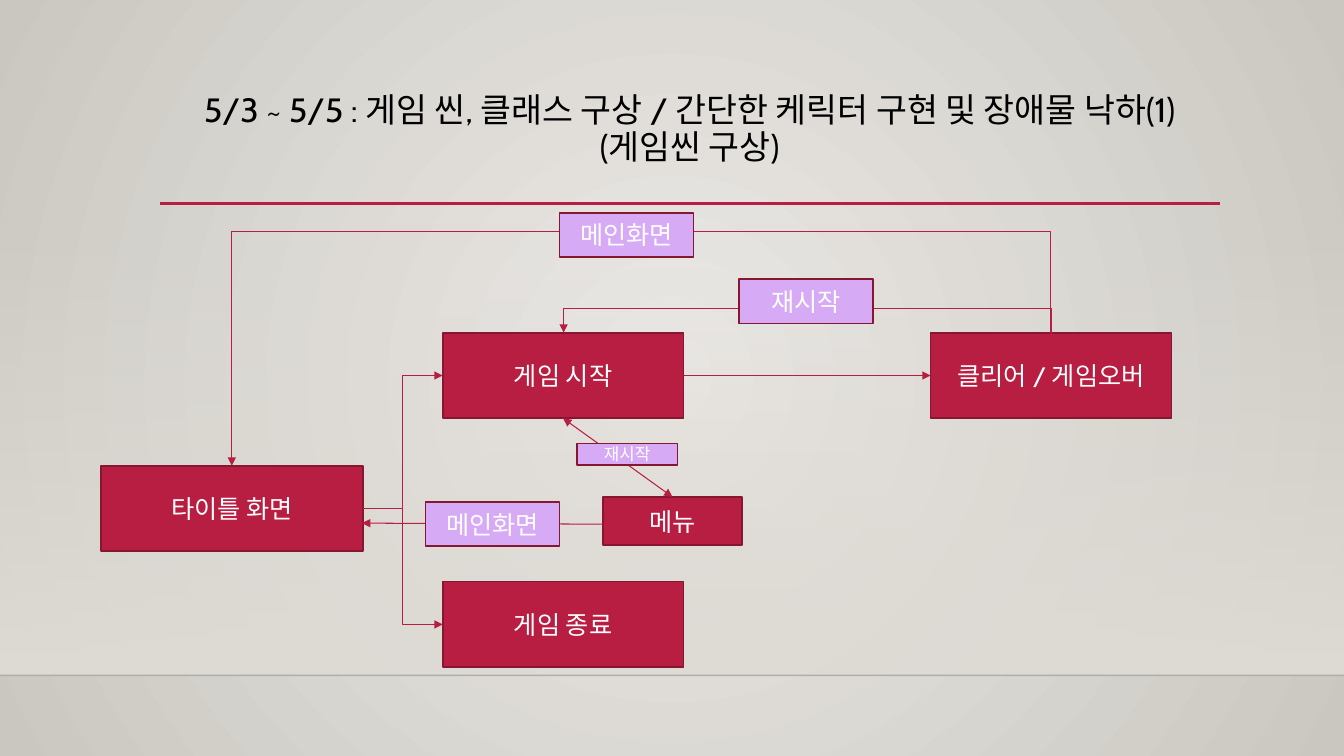
from dataclasses import dataclass

from pptx import Presentation
from pptx.dml.color import RGBColor
from pptx.enum import shapes, text
from pptx.oxml import ns, xmlchemy
from pptx.util import Inches, Pt

FONT = "Cabin"
CRIMSON, DARK_RED, LILAC = "B71E42", "871631", "D7AAF6"
TOP, LEFT, BOTTOM, RIGHT = range(4)
STRAIGHT, ELBOW = shapes.MSO_CONNECTOR.STRAIGHT, shapes.MSO_CONNECTOR.ELBOW


@dataclass
class Box:
    caption: str
    left: float
    top: float
    width: float = 2.39
    height: float = 0.85
    fill: str = CRIMSON
    size: int = 18


@dataclass
class Link:
    """Arrow glued to the sides of two boxes."""
    source: str
    source_side: int
    target: str
    target_side: int
    kind: int = STRAIGHT
    both_ends: bool = False


@dataclass
class Loop:
    """Arrow that rises to a rail and comes down on its target."""
    start: tuple[float, float]
    end: tuple[float, float]
    rail: float


NODES = [
    Box("타이틀 화면", 1, 4.62, width=2.6),
    Box("게임 시작", 4.39, 3.3),
    Box("클리어 / 게임오버", 9.23, 3.3),
    Box("게임 종료", 4.39, 5.77),
    Box("메뉴", 5.98, 4.93, 1.38, 0.48),
]
LINKS = [
    Link("타이틀 화면", RIGHT, "게임 시작", LEFT, ELBOW),
    Link("타이틀 화면", RIGHT, "게임 종료", LEFT, ELBOW),
    Link("게임 시작", RIGHT, "클리어 / 게임오버", LEFT),
    Link("게임 시작", BOTTOM, "메뉴", TOP, both_ends=True),
]
LOOPS = [
    Loop((10.42, 3.3), (2.3, 4.62), 2.3),
    Loop((10.43, 3.31), (5.59, 3.3), 3.06),
]
LABELS = [
    Box("메인화면", 5.55, 2.11, 1.33, 0.44, LILAC),
    Box("재시작", 7.33, 2.77, 1.33, 0.44, LILAC),
    Box("재시작", 5.72, 4.4, 1, 0.21, LILAC, 12),
    Box("메인화면", 4.22, 4.98, 1.33, 0.44, LILAC),
]


def color(value: str) -> RGBColor:
    return RGBColor.from_string(value)


def add_child(parent, tag: str, **attributes):
    child = xmlchemy.OxmlElement(tag)
    for name, value in attributes.items():
        child.set(name, str(value))
    parent.append(child)
    return child


def set_gradient(fill, first: str, last: str) -> None:
    fill.gradient()
    for stop, value in zip(fill.gradient_stops, (first, last)):
        stop.color.rgb = color(value)


def set_alpha(element, percent: int) -> None:
    """Make the first colour inside the element transparent."""
    add_child(next(element.iter(ns.qn("a:srgbClr"))), "a:alpha", val=percent * 1000)


def add_line(slide, start, end, value: str = CRIMSON, width: float = 0.75,
             kind: int = STRAIGHT):
    line = slide.shapes.add_connector(kind, *map(Inches, (*start, *end)))
    line.line.color.rgb = color(value)
    line.line.width = Pt(width)
    add_child(line.element.spPr, "a:effectLst")
    return line


def add_arrowheads(line, both_ends: bool = False) -> None:
    outline = line.line._get_or_add_ln()
    if both_ends:
        add_child(outline, "a:headEnd", type="triangle")
    add_child(outline, "a:tailEnd", type="triangle")


def add_box(slide, box: Box):
    shape = slide.shapes.add_shape(
        shapes.MSO_SHAPE.RECTANGLE,
        *map(Inches, (box.left, box.top, box.width, box.height)))
    shape.shadow.inherit = False
    shape.fill.solid()
    shape.fill.fore_color.rgb = color(box.fill)
    shape.line.color.rgb = color(DARK_RED)
    shape.line.width = Pt(1.25)
    shape.text_frame.text = box.caption
    shape.text_frame.vertical_anchor = text.MSO_ANCHOR.MIDDLE
    format_paragraph(shape.text_frame.paragraphs[0], box.size, "FFFFFF")
    return shape


def format_paragraph(paragraph, size: int, value: str) -> None:
    paragraph.alignment = text.PP_ALIGN.CENTER
    for run in paragraph.runs:
        run.font.name = FONT
        run.font.size = Pt(size)
        run.font.color.rgb = color(value)


def add_link(slide, link: Link, nodes: dict) -> None:
    line = add_line(slide, (0, 0), (1, 1), kind=link.kind)
    line.begin_connect(nodes[link.source], link.source_side)
    line.end_connect(nodes[link.target], link.target_side)
    add_arrowheads(line, link.both_ends)


def add_loop(slide, loop: Loop) -> None:
    (x1, y1), (x2, y2) = loop.start, loop.end
    width, height = abs(y2 - y1), abs(x2 - x1)
    line = add_line(slide, loop.start, loop.end, kind=ELBOW)
    # The frame is turned a quarter, so its width runs up the slide
    line.left, line.top = Inches((x1 + x2 - width) / 2), Inches((y1 + y2 - height) / 2)
    line.width, line.height = Inches(width), Inches(height)
    frame = line.element.spPr.find(ns.qn("a:xfrm"))
    frame.set("rot", str(270 * 60000))
    frame.set("flipH", str(int(y2 > y1)))
    frame.set("flipV", str(int(x2 < x1)))
    bend = round((loop.rail - y1) / (y2 - y1) * 100000)
    guides = next(line.element.iter(ns.qn("a:avLst")))
    add_child(guides, "a:gd", name="adj1", fmla=f"val {bend}")
    add_arrowheads(line)


def add_backdrop(slide) -> None:
    set_gradient(slide.background.fill, "ECEAE7", "CAC7C1")
    gradient = next(slide.element.iter(ns.qn("a:gradFill")))
    gradient.remove(gradient.find(ns.qn("a:lin")))
    circle = add_child(gradient, "a:path", path="circle")
    add_child(circle, "a:fillToRect", l=50000, t=50000, r=50000, b=50000)

    wall = slide.shapes.add_shape(
        shapes.MSO_SHAPE.RECTANGLE, *map(Inches, (0, 2.21, 13.33, 4.49)))
    wall.shadow.inherit = False
    set_gradient(wall.fill, "DFDBD5", "DFDBD5")
    wall.fill.gradient_angle = 270
    set_alpha(wall.element.spPr, 0)
    wall.line.fill.background()

    floor = add_line(slide, (0, 6.7), (13.33, 6.7), "000001", 1)
    set_alpha(floor.element.spPr, 20)
    add_line(slide, (1.59, 2.02), (12.1, 2.02), width=2.5)


def add_title(slide) -> None:
    title = slide.shapes.title
    title.left, title.top, title.width, title.height = map(Inches, (1.59, 0.88, 10.5, 1.15))
    frame = title.text_frame
    frame.word_wrap = True
    frame.auto_size = text.MSO_AUTO_SIZE.NONE
    frame.vertical_anchor = text.MSO_ANCHOR.TOP
    paragraph = frame.paragraphs[0]
    paragraph.text = ("5/3 ~ 5/5 : 게임 씬, 클래스 구상 / 간단한 케릭터 구현 및 장애물 낙하(1)\n"
                      "(게임씬 구상)")
    paragraph.line_spacing = 0.9
    format_paragraph(paragraph, 24, "000000")
    # Bring the title in front of the backdrop
    title.element.getparent().append(title.element)


def main() -> None:
    presentation = Presentation()
    presentation.slide_width, presentation.slide_height = Inches(13.33), Inches(7.5)
    slide = presentation.slides.add_slide(presentation.slide_layouts.get_by_name("Title Only"))
    add_backdrop(slide)
    add_title(slide)

    # Scenes and the ways between them
    nodes = {box.caption: add_box(slide, box) for box in NODES}
    for link in LINKS:
        add_link(slide, link, nodes)
    for loop in LOOPS:
        add_loop(slide, loop)
    add_arrowheads(add_line(slide, (5.98, 5.2), (3.59, 5.19)))

    # Labels on the arrows
    for label in LABELS:
        add_box(slide, label)
    presentation.save("out.pptx")


if __name__ == "__main__":
    main()
